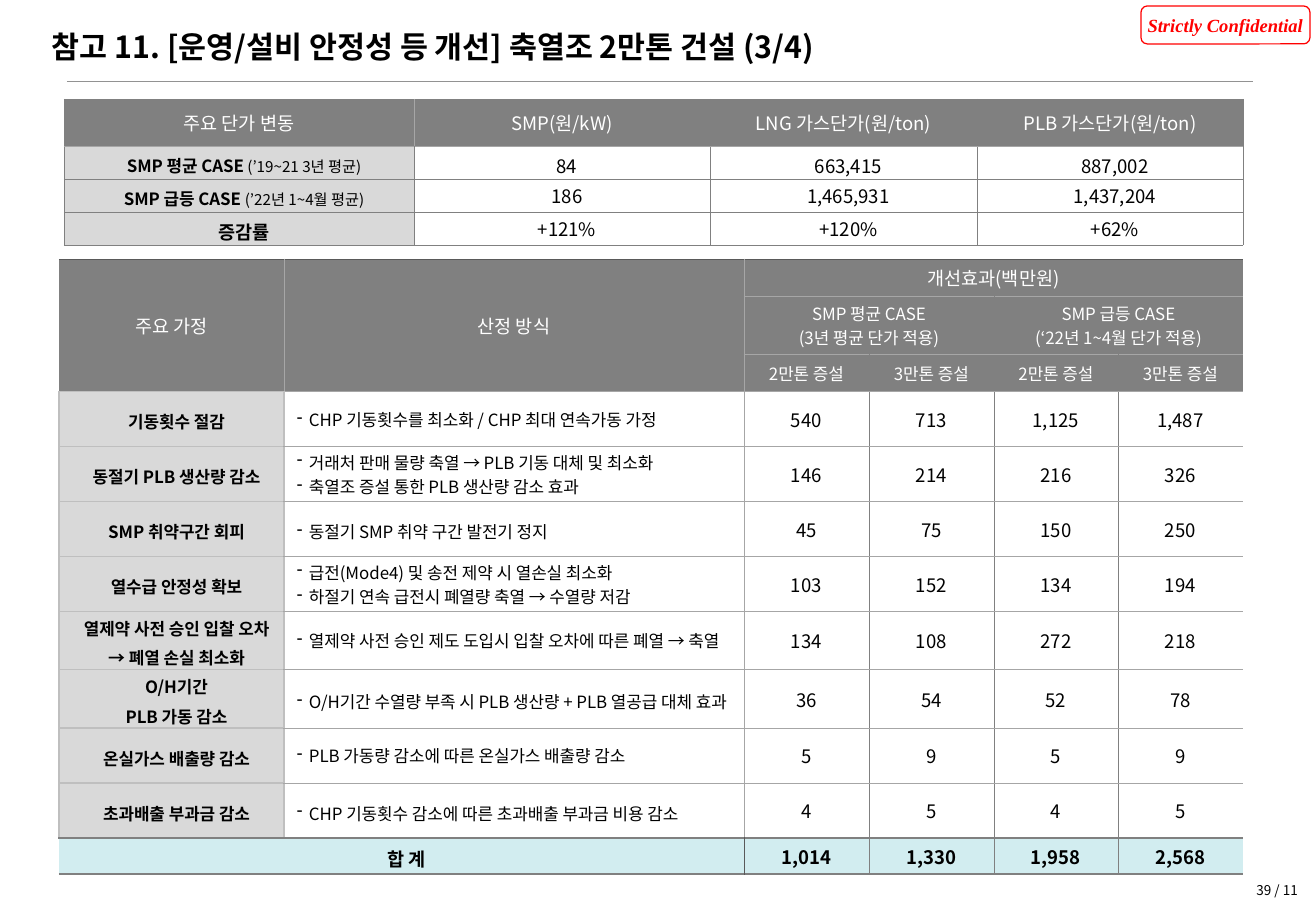
from collections.abc import Callable
from dataclasses import dataclass
from typing import NamedTuple, Optional

from lxml.etree import SubElement
from pptx import Presentation
from pptx.dml.color import RGBColor
from pptx.enum.shapes import MSO_CONNECTOR as CONN, MSO_SHAPE as SHAPE
from pptx.enum.text import MSO_ANCHOR as ANCHOR, MSO_AUTO_SIZE as AUTO, PP_ALIGN as ALIGN
from pptx.oxml.ns import qn
from pptx.util import Emu, Pt

PX = 7526
SANS, SERIF = "Noto Sans CJK KR", "Times New Roman"
NO_STYLE = "{2D5ABB26-0587-4C30-8999-92F81FD0307C}"
COLORS = {
    "black": "000000", "white": "FFFFFF", "red": "FF0000", "rule": "929292",
    "head": "808080", "label": "D9D9D9", "total": "D2EDF0",
    "dark": "595959", "mid": "A6A6A6", "pale": "BFBFBF",
}


class Run(NamedTuple):
    text: str
    size: int = 10
    bold: bool = False
    color: str = "black"
    italic: bool = False
    face: str = SANS


class Edge(NamedTuple):
    color: str
    width: float


class Case(NamedTuple):
    label: list[Run]
    values: list[str]
    spacing: float = 1.0


class Effect(NamedTuple):
    labels: list[str]
    methods: list[str]
    values: list[str]
    spacing: float = 1.0


@dataclass
class Block:
    lines: list[list[Run]]
    align: ALIGN = ALIGN.CENTER
    spacing: float = 1.0
    bullet: bool = False


@dataclass
class Cell:
    row: int
    col: int
    block: Block
    fill: Optional[str] = None
    margins: tuple[int, int, int, int] = (10, 0, 0, 0)
    rows: int = 1
    cols: int = 1


@dataclass
class Grid:
    left: int
    top: int
    widths: list[int]
    heights: list[int]
    cells: list[Cell]
    across: Callable[[int, int], Optional[Edge]]
    down: Callable[[int, int], Optional[Edge]]


GRAY, MID, PALE = Edge("head", 0.25), Edge("mid", 0.5), Edge("pale", 1)
DARK, HEAVY = Edge("dark", 0.5), Edge("head", 1)
PAD = (10, 5, 10, 5)

CASES = [
    Case([Run("SMP 평균 CASE", 10, True), Run(" (’19~21 3년 평균)", 9)], ["84", "663,415", "887,002"], 1.2),
    Case([Run("SMP 급등 CASE ", 10, True), Run("(’22년 1~4월 평균)", 9)], ["186", "1,465,931", "1,437,204"]),
    Case([Run("증감률", 11, True)], ["+121%", "+120%", "+62%"]),
]
EFFECTS = [
    Effect(["기동횟수 절감"], ["CHP 기동횟수를 최소화 / CHP 최대 연속가동 가정"], ["540", "713", "1,125", "1,487"]),
    Effect(["동절기 PLB 생산량 감소"],
           ["거래처 판매 물량 축열 → PLB 기동 대체 및 최소화", "축열조 증설 통한 PLB 생산량 감소 효과"],
           ["146", "214", "216", "326"]),
    Effect(["SMP 취약구간 회피"], ["동절기 SMP 취약 구간 발전기 정지"], ["45", "75", "150", "250"], 1.2),
    Effect(["열수급 안정성 확보"],
           ["급전(Mode4) 및 송전 제약 시 열손실 최소화", "하절기 연속 급전시 폐열량 축열 → 수열량 저감"],
           ["103", "152", "134", "194"]),
    Effect(["열제약 사전 승인 입찰 오차", "→ 폐열 손실 최소화"],
           ["열제약 사전 승인 제도 도입시 입찰 오차에 따른 폐열 → 축열"], ["134", "108", "272", "218"]),
    Effect(["O/H기간", "PLB 가동 감소"],
           ["O/H기간 수열량 부족 시 PLB 생산량 + PLB 열공급 대체 효과"], ["36", "54", "52", "78"], 1.2),
    Effect(["온실가스 배출량 감소"], ["PLB 가동량 감소에 따른 온실가스 배출량 감소"], ["5", "9", "5", "9"]),
    Effect(["초과배출 부과금 감소"], ["CHP 기동횟수 감소에 따른 초과배출 부과금 비용 감소"], ["4", "5", "4", "5"], 1.2),
]
TOTALS = ["1,014", "1,330", "1,958", "2,568"]


def rgb(name: str) -> RGBColor:
    return RGBColor.from_string(COLORS[name])


def px(*values: int) -> list[Emu]:
    return [Emu(v * PX) for v in values]


def set_all(target: object, values: dict[str, object]) -> None:
    for name, value in values.items():
        setattr(target, name, value)


def write(tf, block: Block) -> None:
    for i, line in enumerate(block.lines):
        p = tf.add_paragraph() if i else tf.paragraphs[0]
        set_all(p, {"alignment": block.align, "line_spacing": block.spacing})
        if block.bullet:
            pPr = p._p.get_or_add_pPr()
            pPr.set("marL", str(12 * PX))
            pPr.set("indent", str(-12 * PX))
            SubElement(pPr, qn("a:buChar")).set("char", "-")
        for run in line:
            r = p.add_run()
            r.text = run.text
            set_all(r.font, {"size": Pt(run.size), "bold": run.bold, "italic": run.italic, "name": run.face})
            r.font.color.rgb = rgb(run.color)
            SubElement(r._r.get_or_add_rPr(), qn("a:ea")).set("typeface", run.face)


def frame(tf, block: Block, margins: tuple[int, int, int, int], wrap: bool) -> None:
    left, top, right, bottom = px(*margins)
    set_all(tf, {"margin_left": left, "margin_top": top, "margin_right": right, "margin_bottom": bottom,
                 "vertical_anchor": ANCHOR.MIDDLE, "auto_size": AUTO.NONE, "word_wrap": wrap})
    write(tf, block)


def border(cell, sides: dict[str, Optional[Edge]]) -> None:
    tcPr = cell._tc.get_or_add_tcPr()
    for i, (side, edge) in enumerate(sides.items()):
        ln = SubElement(tcPr, qn(f"a:{side}"))
        tcPr.insert(i, ln)
        if edge is None:
            SubElement(ln, qn("a:noFill"))
            continue
        ln.set("w", str(Pt(edge.width)))
        fill = SubElement(ln, qn("a:solidFill"))
        SubElement(fill, qn("a:srgbClr")).set("val", COLORS[edge.color])


def draw_grid(s, g: Grid) -> None:
    size = px(g.left, g.top, sum(g.widths), sum(g.heights))
    sp = s.shapes.add_table(len(g.heights), len(g.widths), *size)
    tbl = sp.table
    set_all(tbl, {"first_row": False, "horz_banding": False})
    tbl._tbl.tblPr.find(qn("a:tableStyleId")).text = NO_STYLE
    for col, width in zip(tbl.columns, px(*g.widths)):
        col.width = width
    for row, height in zip(tbl.rows, px(*g.heights)):
        row.height = height
    for c in g.cells:
        cell = tbl.cell(c.row, c.col)
        end_row, end_col = c.row + c.rows, c.col + c.cols
        if c.rows * c.cols > 1:
            cell.merge(tbl.cell(end_row - 1, end_col - 1))
        left, top, right, bottom = px(*c.margins)
        set_all(cell, {"margin_left": left, "margin_top": top, "margin_right": right,
                       "margin_bottom": bottom, "vertical_anchor": ANCHOR.MIDDLE})
        if c.fill:
            cell.fill.solid()
            cell.fill.fore_color.rgb = rgb(c.fill)
        else:
            cell.fill.background()
        border(cell, {"lnL": g.down(c.row, c.col), "lnR": g.down(c.row, end_col),
                      "lnT": g.across(c.row, c.col), "lnB": g.across(end_row, c.col)})
        write(cell.text_frame, c.block)


def head(row: int, col: int, texts: list[str], size: int = 11, rows: int = 1, cols: int = 1) -> Cell:
    block = Block([[Run(t, size, color="white")] for t in texts])
    return Cell(row, col, block, "head", PAD, rows, cols)


def price_grid() -> Grid:
    titles = ["주요 단가 변동", "SMP(원/kW)", "LNG 가스단가(원/ton)", "PLB 가스단가(원/ton)"]
    cells = [head(0, i, [t]) for i, t in enumerate(titles)]
    for row, case in enumerate(CASES, 1):
        cells.append(Cell(row, 0, Block([case.label], spacing=1.2), "label"))
        cells += [Cell(row, col, Block([[Run(v, 11)]], spacing=case.spacing))
                  for col, v in enumerate(case.values, 1)]
    return Grid(64, 99, [350, 296, 267, 266], [47, 33, 33, 33], cells,
                lambda line, col: MID if line == 1 else GRAY,
                lambda row, line: MID if (row, line) == (0, 1) else GRAY)


def effect_across(line: int, col: int) -> Edge:
    if line == 0:
        return DARK
    if line >= 11:
        return HEAVY
    return PALE if col == 0 and line >= 3 else MID


def effect_down(row: int, line: int) -> Optional[Edge]:
    body = 3 <= row < 11
    edges = [PALE if body else None, PALE if body else MID, MID if row < 11 else DARK, GRAY, GRAY, GRAY, None]
    return edges[line]


def effect_grid() -> Grid:
    cells = [head(0, 0, ["주요 가정"], rows=3), head(0, 1, ["산정 방식"], rows=3),
             head(0, 2, ["개선효과(백만원)"], cols=4),
             head(1, 2, ["SMP 평균 CASE", "(3년 평균 단가 적용)"], 10, cols=2),
             head(1, 4, ["SMP 급등 CASE", "(‘22년 1~4월 단가 적용)"], 10, cols=2)]
    cells += [head(2, col, [f"{2 + col % 2}만톤 증설"], 10) for col in range(2, 6)]
    for row, e in enumerate(EFFECTS, 3):
        cells.append(Cell(row, 0, Block([[Run(t, bold=True)] for t in e.labels], spacing=1.2), "label"))
        cells.append(Cell(row, 1, Block([[Run(t)] for t in e.methods], ALIGN.LEFT, e.spacing, True),
                          margins=(13, 0, 0, 0)))
        cells += [Cell(row, col, Block([[Run(v, 11)]]), margins=(0, 0, 0, 0))
                  for col, v in enumerate(e.values, 2)]
    cells.append(Cell(11, 0, Block([[Run("합 계", 11, True)]], spacing=1.2), "total", cols=2))
    cells += [Cell(11, col, Block([[Run(v, 11, True)]]), "total", (0, 0, 0, 0))
              for col, v in enumerate(TOTALS, 2)]
    heights = [37, 57, 36] + [55] * 4 + [58] * 2 + [55] * 2 + [36]
    return Grid(59, 259, [225, 460, 125, 125, 124, 125], heights, cells, effect_across, effect_down)


def main() -> None:
    """Build the slide on the heat storage tank and save it."""
    prs = Presentation()
    prs.slide_width, prs.slide_height = px(1316, 911)
    s = prs.slides.add_slide(prs.slide_layouts[5])

    sp = s.shapes.title
    sp.left, sp.top, sp.width, sp.height = px(44, 19, 1203, 61)
    title = Run("참고 11. [운영/설비 안정성 등 개선] 축열조 2만톤 건설 (3/4)", 18, True)
    frame(sp.text_frame, Block([[title]], ALIGN.LEFT, 0.86), (8, 5, 8, 5), False)

    sp = s.shapes.add_shape(SHAPE.ROUNDED_RECTANGLE, *px(1141, 6, 169, 38))
    sp.shadow.inherit = False
    sp.fill.background()
    sp.line.color.rgb, sp.line.width = rgb("red"), Pt(0.75)
    stamp = Run("Strictly Confidential", 11, True, "red", True, SERIF)
    frame(sp.text_frame, Block([[stamp]]), PAD, False)

    sp = s.shapes.add_connector(CONN.STRAIGHT, *px(67, 81, 1253, 81))
    sp.line.color.rgb, sp.line.width = rgb("rule"), Pt(0.5)
    SubElement(sp._element.spPr, qn("a:effectLst"))

    sp = s.shapes.add_textbox(*px(1205, 874, 105, 33))
    frame(sp.text_frame, Block([[Run("39 / 11", 8)]], ALIGN.RIGHT), (12, 6, 12, 6), True)

    for grid in (effect_grid(), price_grid()):
        draw_grid(s, grid)
    prs.save("out.pptx")


if __name__ == "__main__":
    main()
